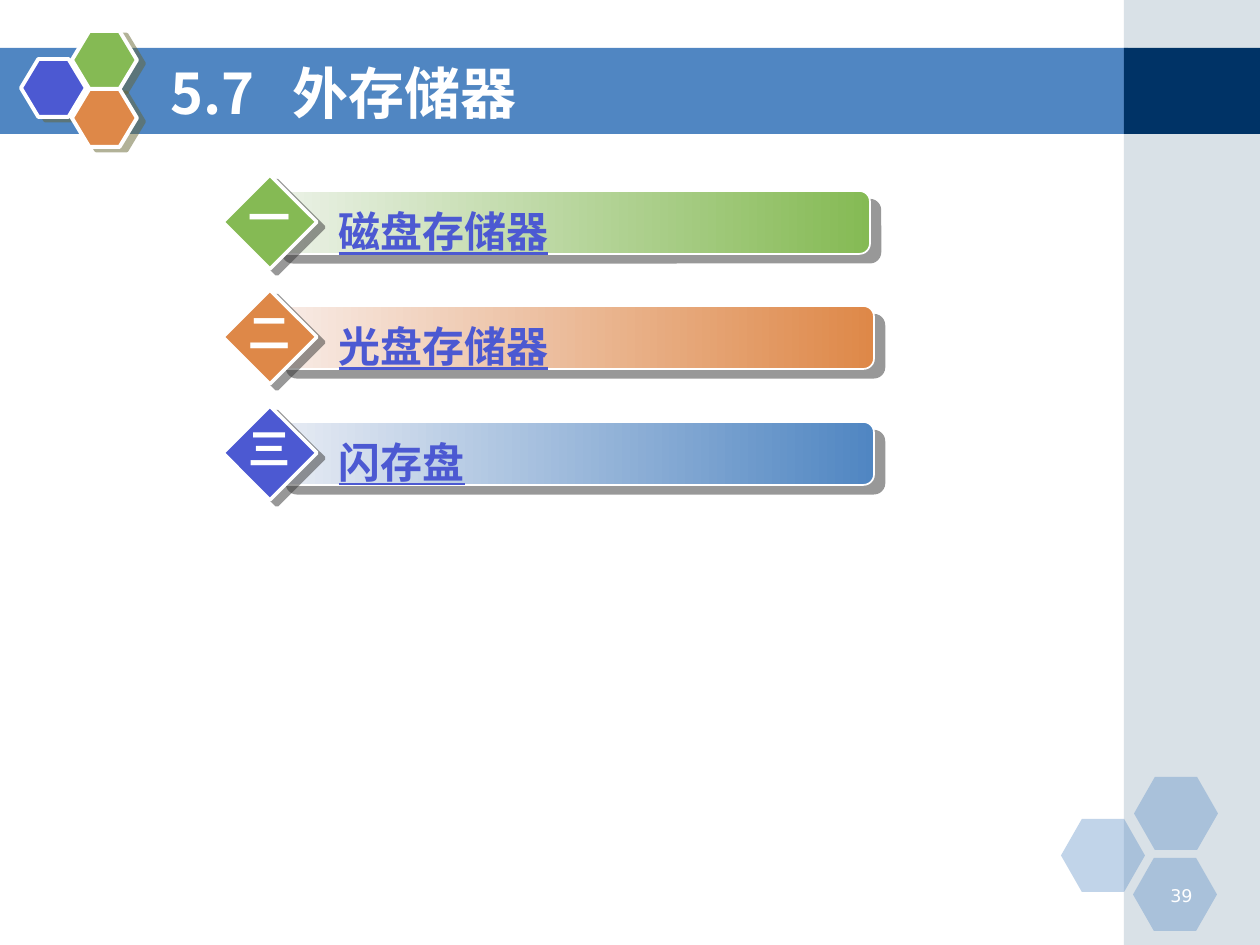
from dataclasses import dataclass

from lxml import etree
from pptx import Presentation
from pptx.dml.color import RGBColor
from pptx.enum.shapes import MSO_SHAPE
from pptx.enum.text import MSO_ANCHOR, PP_ALIGN
from pptx.oxml.ns import qn
from pptx.util import Emu, Pt

RECT = MSO_SHAPE.RECTANGLE
HEXAGON = MSO_SHAPE.HEXAGON
DIAMOND = MSO_SHAPE.DIAMOND
ROUNDED = MSO_SHAPE.ROUNDED_RECTANGLE
LEFT, CENTER, RIGHT = PP_ALIGN.LEFT, PP_ALIGN.CENTER, PP_ALIGN.RIGHT
TOP, MIDDLE = MSO_ANCHOR.TOP, MSO_ANCHOR.MIDDLE
PX_PER_INCH = 126


@dataclass(frozen=True)
class Theme:
    blue: str = "5086C2"
    green: str = "85BA54"
    orange: str = "DE8848"
    violet: str = "4C59D2"
    navy: str = "003366"
    sidebar: str = "A0B5C4"
    white: str = "FFFFFF"
    pale_green: str = "ECF2E8"
    pale_orange: str = "F8ECE7"
    pale_blue: str = "E8ECF4"
    logo_shadow: str = "666633"
    item_shadow: str = "333333"
    font: str = "Noto Sans CJK SC"
    number_font: str = "DejaVu Sans"
    title_size: int = 32
    item_size: int = 24
    number_size: int = 10


THEME = Theme()


def px(value):
    return Emu(round(value * 914400 / PX_PER_INCH))


def rgb(color):
    return RGBColor.from_string(color)


def add_panel(slide, kind, box, fill, fade_from=None, opacity=100,
              outline=0, adjust=None):
    """Preset shape with a solid fill, or a left-to-right fade into it."""
    panel = slide.shapes.add_shape(kind, *map(px, box))
    panel.shadow.inherit = False
    if adjust is not None:
        panel.adjustments[0] = adjust
    if fade_from:
        panel.fill.gradient()
        panel.fill.gradient_angle = 0
        for stop, color in zip(panel.fill.gradient_stops, (fade_from, fill)):
            stop.color.rgb = rgb(color)
    else:
        panel.fill.solid()
        panel.fill.fore_color.rgb = rgb(fill)
    if opacity < 100:
        color_node = next(panel.fill._xPr.iter(qn("a:srgbClr")))
        etree.SubElement(color_node, qn("a:alpha"), val=str(opacity * 1000))
    if outline:
        panel.line.color.rgb = rgb(THEME.white)
        panel.line.width = Pt(outline)
    else:
        panel.line.fill.background()
    return panel


def cast_shadow(panel, color, distance, angle):
    """Hard half-transparent shadow; distance in points, angle in degrees."""
    effects = panel._element.spPr.find(qn("a:effectLst"))
    shadow = etree.SubElement(effects, qn("a:outerShdw"), blurRad="0",
                              dist=str(Pt(distance)), dir=str(angle * 60000),
                              algn="ctr", rotWithShape="0")
    shade = etree.SubElement(shadow, qn("a:srgbClr"), val=color)
    etree.SubElement(shade, qn("a:alpha"), val="50000")


def add_text(slide, box, text, size, color, align=LEFT, anchor=TOP, bold=True,
             underline=False, wrap=True, font=THEME.font, indent=0):
    frame = slide.shapes.add_textbox(*map(px, box)).text_frame
    frame.word_wrap = wrap
    frame.vertical_anchor = anchor
    frame.margin_left += px(indent)
    frame.text = text
    paragraph = frame.paragraphs[0]
    paragraph.alignment = align
    for run in paragraph.runs:
        run.font.size = Pt(size)
        run.font.bold = bold
        run.font.underline = underline
        run.font.color.rgb = rgb(color)
        run.font.name = font
        etree.SubElement(run.font._element, qn("a:ea"), typeface=font)
    return paragraph


def set_tab(paragraph, position):
    tabs = etree.SubElement(paragraph._p.get_or_add_pPr(), qn("a:tabLst"))
    etree.SubElement(tabs, qn("a:tab"), pos=str(px(position)), algn="l")


def add_backdrop(slide):
    # Header band and right sidebar
    add_panel(slide, RECT, (-1, 48, 1129, 86), THEME.blue)
    add_panel(slide, RECT, (1124, 0, 136, 945), THEME.sidebar, opacity=40)
    add_panel(slide, RECT, (1124, 48, 136, 86), THEME.navy)

    # Faint corner honeycomb
    for left, top in ((1061, 819), (1134, 777), (1133, 858)):
        add_panel(slide, HEXAGON, (left, top, 84, 73), THEME.blue,
                  opacity=35, adjust=0.286)

    # Header honeycomb
    for left, top, color in ((21, 59, THEME.violet), (72, 31, THEME.green),
                             (72, 89, THEME.orange)):
        cell = add_panel(slide, HEXAGON, (left, top, 65, 58), color,
                         outline=2.25, adjust=0.3)
        cast_shadow(cell, THEME.logo_shadow, 4.5, 27)


def add_agenda(slide):
    # Numeral, heading, diamond colour, bar colour, bar fade, bar left
    items = (
        ("一", "磁盘存储器", THEME.green, THEME.green, THEME.pale_green, 272),
        ("二", "光盘存储器", THEME.orange, THEME.orange, THEME.pale_orange, 276),
        ("三", "闪存盘", THEME.violet, THEME.blue, THEME.pale_blue, 276),
    )
    offsets = [row * 231 // 2 for row in range(len(items))]

    # Bars with headings
    for offset, (_, heading, _, color, pale, left) in zip(offsets, items):
        bar = add_panel(slide, ROUNDED, (left, 191 + offset, 598, 63), color,
                        fade_from=pale, outline=1, adjust=0.167)
        cast_shadow(bar, THEME.item_shadow, 7.8, 40)
        add_text(slide, (307, 199 + offset, 542, 63), heading,
                 THEME.item_size, THEME.violet, underline=True, indent=19)

    # Numbered diamonds, in front of the bars
    for offset, (numeral, _, color, *_) in zip(offsets, items):
        diamond = add_panel(slide, DIAMOND, (223, 175 + offset, 94, 94),
                            color, outline=2)
        cast_shadow(diamond, THEME.item_shadow, 5, 37)
        add_text(slide, (236, 185 + offset, 68, 63), numeral,
                 THEME.item_size, THEME.white, align=CENTER, wrap=False)


def main():
    deck = Presentation()
    deck.slide_width, deck.slide_height = px(1260), px(945)
    slide = deck.slides.add_slide(deck.slide_layouts[6])

    add_backdrop(slide)
    add_text(slide, (1142, 879, 63, 32), "39", THEME.number_size, THEME.white,
             align=RIGHT, bold=False, font=THEME.number_font)
    title = add_text(slide, (158, 53, 924, 78), "5.7\t外存储器",
                     THEME.title_size, THEME.white, anchor=MIDDLE)
    set_tab(title, 122)
    add_agenda(slide)

    deck.save("out.pptx")


if __name__ == "__main__":
    main()
